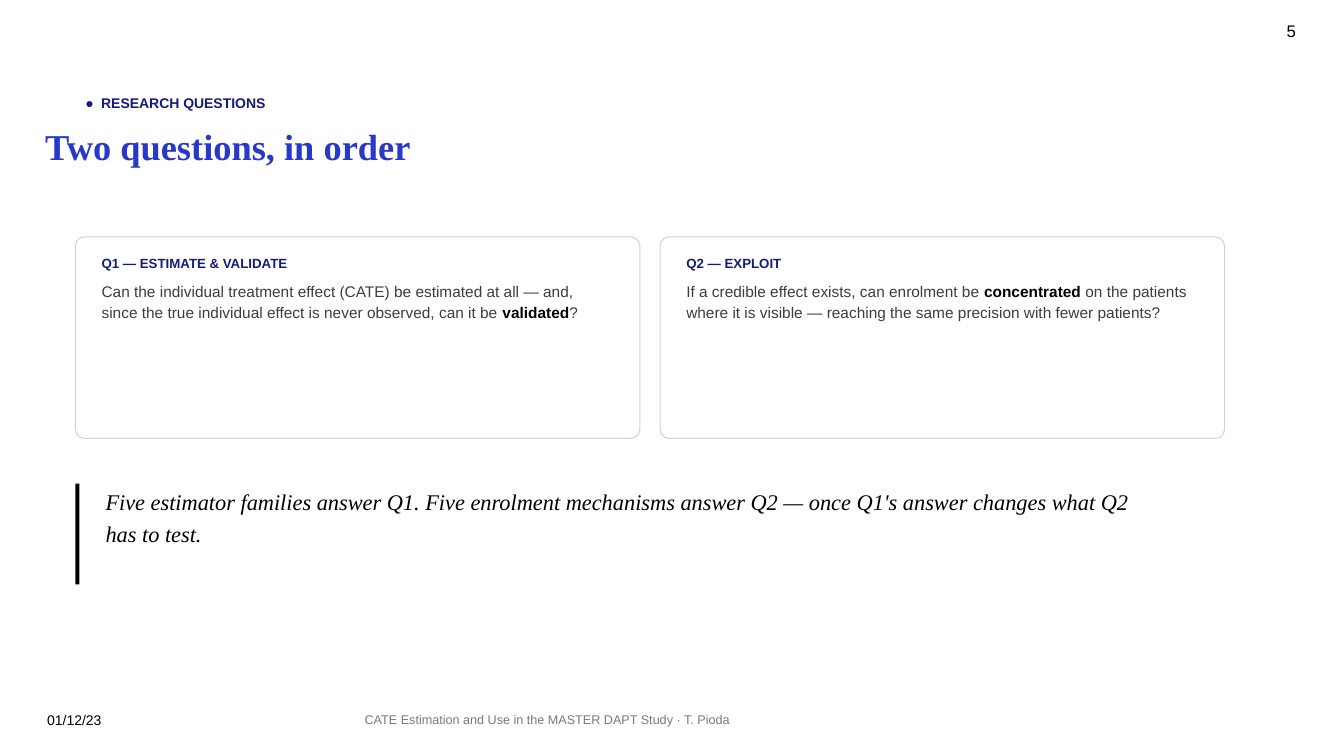
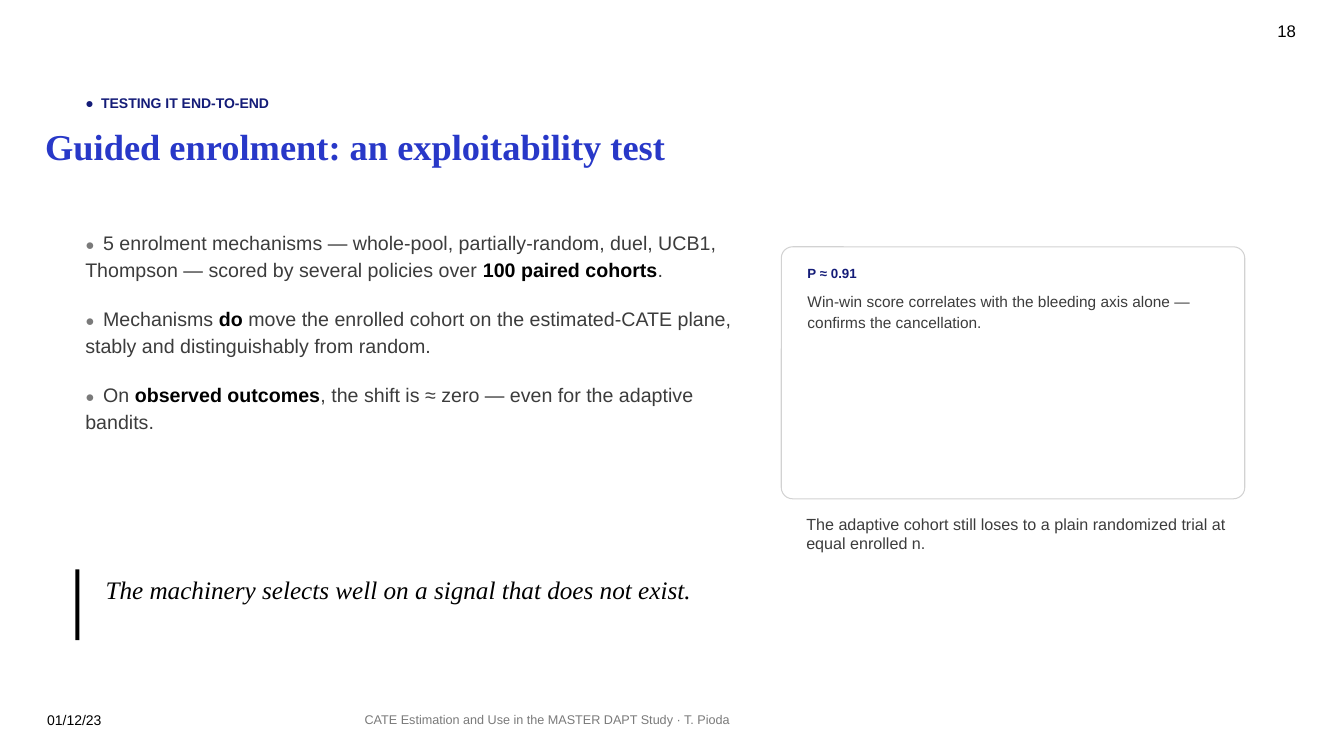
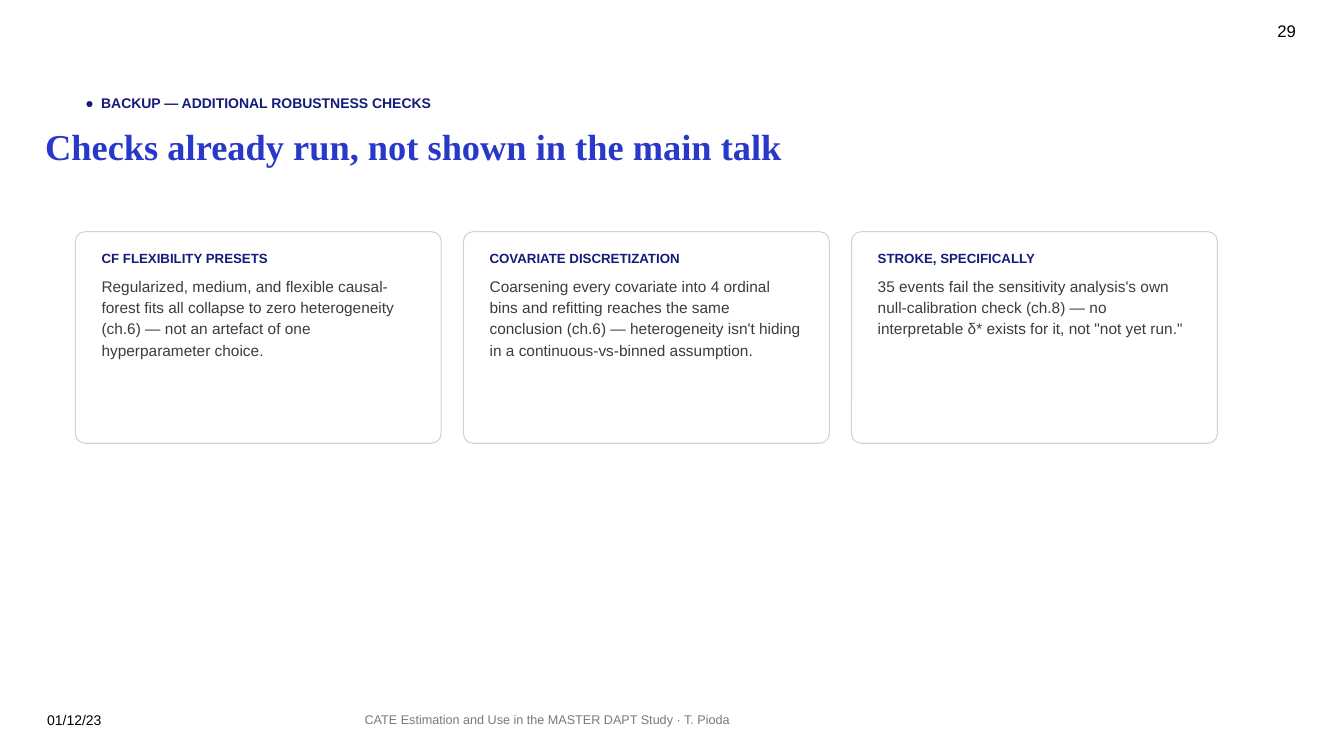
from lxml.etree import SubElement
from pptx import Presentation
from pptx.dml.color import RGBColor as Rgb
from pptx.enum.shapes import MSO_SHAPE as Shape
from pptx.enum.text import PP_ALIGN as Align
from pptx.oxml.ns import qn
from pptx.util import Cm, Pt

COLOURS = {
    "title": "2838C8", "navy": "141C78", "body": "3C3C3C", "strong": "000000",
    "muted": "7A7A7A", "border": "D2D2D2", "paper": "FFFFFF",
}
SANS, SERIF = "Arial", "Times New Roman"


def style(colour, size, name=SANS, **extra):
    return {"colour": colour, "size": Pt(size), "name": name,
            "bold": False, "italic": False, **extra}


STYLES = {
    "title": style("title", 26, SERIF, bold=True),
    "date": style("strong", 10),
    "footer": style("muted", 9),
    "number": style("strong", 12),
    "eyebrow dot": style("navy", 10),
    "eyebrow": style("navy", 10, bold=True),
    "card head": style("navy", 9.5, bold=True),
    "card body": style("body", 11),
    "point dot": style("muted", 11),
    "point": style("body", 14),
    "caption": style("body", 11.5),
    "quote": style("strong", 16, SERIF, italic=True),
    "large quote": style("strong", 18, SERIF, italic=True),
}
LEFT = 1.9
CARD_PAD = (0.41, 0.33)


# Text helpers
def text_box(page, area, inset=(0.25, 0.13)):
    frame = page.shapes.add_textbox(*map(Cm, area)).text_frame
    side, edge = map(Cm, inset)
    margins = {"margin_left": side, "margin_right": side,
               "margin_top": edge, "margin_bottom": edge, "word_wrap": True}
    for key, value in margins.items():
        setattr(frame, key, value)
    return frame


def add_span(para, text, look):
    span = para.add_run()
    span.text = text
    for key, value in look.items():
        if key == "colour":
            span.font.color.rgb = Rgb.from_string(COLOURS[value])
        else:
            setattr(span.font, key, value)


def write(para, text, look, **layout):
    """Write text in a style; parts between ** pairs are strong."""
    for key, value in layout.items():
        setattr(para, key, value)
    for index, part in enumerate(text.split("**")):
        strong = {"colour": "strong", "bold": True} if index % 2 else {}
        add_span(para, part, STYLES[look] | strong)


def write_dotted(para, text, look, tab, **layout):
    """Write a dot and a tab, so wrapped lines return to the left edge."""
    tabs = SubElement(para._p.get_or_add_pPr(), qn("a:tabLst"))
    SubElement(tabs, qn("a:tab"), pos=str(Cm(tab)), algn="l")
    add_span(para, "●\t", STYLES[look + " dot"])
    write(para, text, look, **layout)


def add_panel(page, kind, area, fill, line=None):
    panel = page.shapes.add_shape(kind, *map(Cm, area))
    panel.shadow.inherit = False
    panel.fill.solid()
    panel.fill.fore_color.rgb = Rgb.from_string(COLOURS[fill])
    if line:
        panel.line.color.rgb = Rgb.from_string(COLOURS[line])
        panel.line.width = Pt(0.75)
    else:
        panel.line.fill.background()
    return panel


# Shared page frame
def add_page(deck, number, eyebrow, title):
    page = deck.slides.add_slide(deck.slide_layouts[6])
    frame_parts = [
        ("title", title, (1.14, 3.12, 31.55, 2.01), Align.LEFT),
        ("date", "01/12/23", (1.19, 17.93, 7.9, 1.12), Align.LEFT),
        ("footer", "CATE Estimation and Use in the MASTER DAPT Study · T. Pioda",
         (9.19, 17.93, 23.47, 1.12), Align.LEFT),
        ("number", str(number), (29.64, 0.53, 3.02, 1.32), Align.RIGHT),
    ]
    for look, text, area, align in frame_parts:
        frame = text_box(page, area, inset=(0, 0))
        write(frame.paragraphs[0], text, look, alignment=align)
    frame = text_box(page, (LEFT, 2.24, 22.86, 0.76))
    write_dotted(frame.paragraphs[0], eyebrow, "eyebrow", tab=0.4)
    return page


# Regions
def add_card(page, area, head, body):
    left, top, width, height = area
    pad_x, pad_y = CARD_PAD
    panel = add_panel(page, Shape.ROUNDED_RECTANGLE, area, "paper", "border")
    panel.adjustments[0] = 0.045
    frame = text_box(page, (left + pad_x, top + pad_y,
                            width - 2 * pad_x, height - 2 * pad_y))
    write(frame.paragraphs[0], head, "card head")
    write(frame.add_paragraph(), body, "card body",
          line_spacing=1.15, space_before=Pt(6))


def add_card_row(page, area, gap, cards):
    left, top, width, height = area
    card_width = (width - gap * (len(cards) - 1)) / len(cards)
    for index, (head, body) in enumerate(cards):
        card_left = left + index * (card_width + gap)
        add_card(page, (card_left, top, card_width, height), head, body)


def add_quote(page, top, height, text, look="quote"):
    add_panel(page, Shape.RECTANGLE, (LEFT, top, 0.1, height), "strong")
    frame = text_box(page, (LEFT + 0.51, top - 0.15, 26.92, height + 0.38))
    write(frame.paragraphs[0], text, look, line_spacing=1.2)


def add_points(page, area, points):
    frame = text_box(page, area)
    for index, point in enumerate(points):
        para = frame.add_paragraph() if index else frame.paragraphs[0]
        write_dotted(para, point, "point", tab=0.45,
                     line_spacing=1.15, space_after=Pt(16))


# Pages
def add_questions_page(deck):
    page = add_page(deck, 5, "RESEARCH QUESTIONS", "Two questions, in order")
    add_card_row(page, (LEFT, 5.97, 28.96, 5.08), 0.51, [
        ("Q1 — ESTIMATE & VALIDATE",
         "Can the individual treatment effect (CATE) be estimated at all — and, "
         "since the true individual effect is never observed, can it be "
         "**validated**?"),
        ("Q2 — EXPLOIT",
         "If a credible effect exists, can enrolment be **concentrated** on the "
         "patients where it is visible — reaching the same precision with fewer "
         "patients?"),
    ])
    add_quote(page, 12.19, 2.54,
              "Five estimator families answer Q1. Five enrolment mechanisms answer "
              "Q2 — once Q1's answer changes what Q2 has to test.")


def add_enrolment_page(deck):
    page = add_page(deck, 18, "TESTING IT END-TO-END",
                    "Guided enrolment: an exploitability test")
    add_points(page, (LEFT, 5.59, 17.02, 7.37), [
        "5 enrolment mechanisms — whole-pool, partially-random, duel, UCB1, "
        "Thompson — scored by several policies over **100 paired cohorts**.",
        "Mechanisms **do** move the enrolled cohort on the estimated-CATE plane, "
        "stably and distinguishably from random.",
        "On **observed outcomes**, the shift is ≈ zero — even for the adaptive "
        "bandits.",
    ])
    add_card(page, (19.69, 6.22, 11.68, 6.35), "Ρ ≈ 0.91",
             "Win-win score correlates with the bleeding axis alone — confirms "
             "the cancellation.")
    caption = text_box(page, (20.07, 12.83, 11.18, 1.27))
    write(caption.paragraphs[0],
          "The adaptive cohort still loses to a plain randomized trial at equal "
          "enrolled n.", "caption")
    add_quote(page, 14.35, 1.78,
              "The machinery selects well on a signal that does not exist.",
              "large quote")


def add_checks_page(deck):
    page = add_page(deck, 29, "BACKUP — ADDITIONAL ROBUSTNESS CHECKS",
                    "Checks already run, not shown in the main talk")
    add_card_row(page, (LEFT, 5.84, 28.78, 5.33), 0.56, [
        ("CF FLEXIBILITY PRESETS",
         "Regularized, medium, and flexible causal-forest fits all collapse to "
         "zero heterogeneity (ch.6) — not an artefact of one hyperparameter "
         "choice."),
        ("COVARIATE DISCRETIZATION",
         "Coarsening every covariate into 4 ordinal bins and refitting reaches "
         "the same conclusion (ch.6) — heterogeneity isn't hiding in a "
         "continuous-vs-binned assumption."),
        ("STROKE, SPECIFICALLY",
         "35 events fail the sensitivity analysis's own null-calibration check "
         "(ch.8) — no interpretable δ* exists for it, not \"not yet run.\""),
    ])


def main():
    deck = Presentation()
    deck.slide_width, deck.slide_height = Cm(33.87), Cm(19.05)
    for add_content in (add_questions_page, add_enrolment_page, add_checks_page):
        add_content(deck)
    deck.save("out.pptx")


if __name__ == "__main__":
    main()
